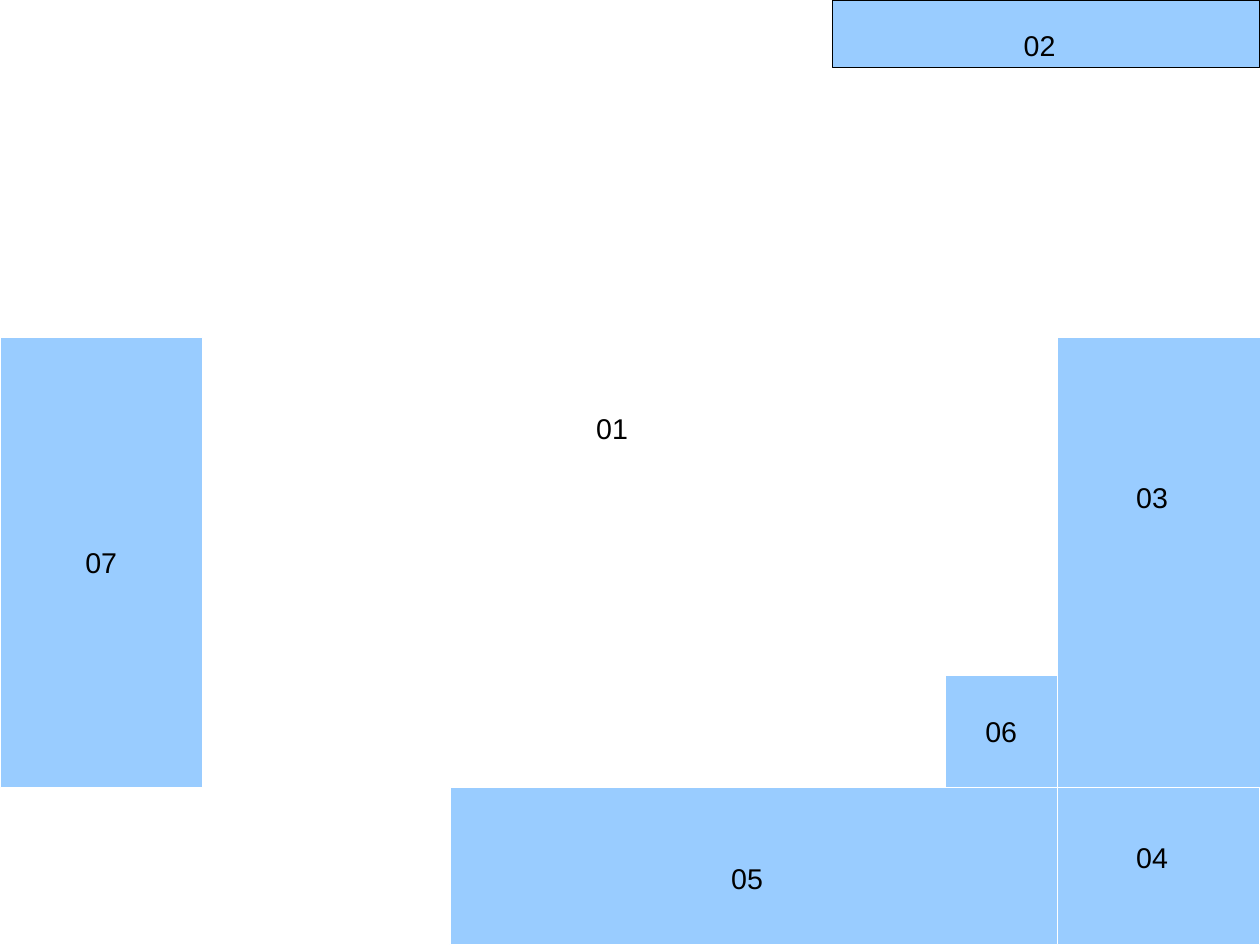
from dataclasses import dataclass

import pptx
import pptx.dml.color
import pptx.enum.shapes
import pptx.enum.text
import pptx.util

PX = 3600
WIDTH, HEIGHT = 2800, 2100


@dataclass(frozen=True)
class Theme:
    panel: str = "99CCFF"
    gap: str = "FFFFFF"
    ink: str = "000000"
    font: str = "Arial"
    size: int = 18
    hairline: float = 0
    thin: float = 0.5


THEME = Theme()


def rgb(value):
    return pptx.dml.color.RGBColor.from_string(value)


def px(*lengths):
    return [length * PX for length in lengths]


def write(tf, text):
    tf.text = text
    font = tf.paragraphs[0].runs[0].font
    font.name = THEME.font
    font.size = pptx.util.Pt(THEME.size)
    font.color.rgb = rgb(THEME.ink)


def add_panel(s, box, line=THEME.gap, weight=THEME.hairline, text=None):
    sp = s.shapes.add_shape(pptx.enum.shapes.MSO_SHAPE.RECTANGLE, *px(*box))
    sp.shadow.inherit = False
    sp.fill.solid()
    sp.fill.fore_color.rgb = rgb(THEME.panel)
    sp.line.color.rgb = rgb(line)
    sp.line.width = pptx.util.Pt(weight)
    if text:
        tf = sp.text_frame
        write(tf, text)
        tf.vertical_anchor = pptx.enum.text.MSO_ANCHOR.MIDDLE
        tf.paragraphs[0].alignment = pptx.enum.text.PP_ALIGN.CENTER


def add_label(s, text, left, top, width, height=96):
    tf = s.shapes.add_textbox(*px(left, top, width, height)).text_frame
    tf.word_wrap = True
    tf.auto_size = pptx.enum.text.MSO_AUTO_SIZE.SHAPE_TO_FIT_TEXT
    write(tf, text)


def main():
    prs = pptx.Presentation()
    prs.slide_width, prs.slide_height = px(WIDTH, HEIGHT)
    s = prs.slides.add_slide(prs.slide_layouts[6])

    side, corner, base = 450, 250, 350
    side_top = 750
    floor = HEIGHT - base
    right = WIDTH - side

    add_panel(s, (right, side_top, side, HEIGHT - side_top), weight=THEME.thin)
    add_panel(s, (1850, 0, 950, 150), line=THEME.ink)
    add_label(s, "02", 2250, 50, 450, 147)
    add_panel(s, (0, side_top, side, floor - side_top), weight=THEME.thin, text="07")
    add_panel(s, (1000, floor, WIDTH - 1000, base))
    add_label(s, "03", 2500, 1054, 350)
    add_panel(s, (right, floor, side, base))
    add_label(s, "05", 1600, 1900, 450)
    add_label(s, "01", 1300, 900, 500)
    add_label(s, "04", 2500, 1854, 300)
    add_panel(s, (right - corner, floor - corner, corner, corner), text="06")

    prs.save("out.pptx")


if __name__ == "__main__":
    main()
